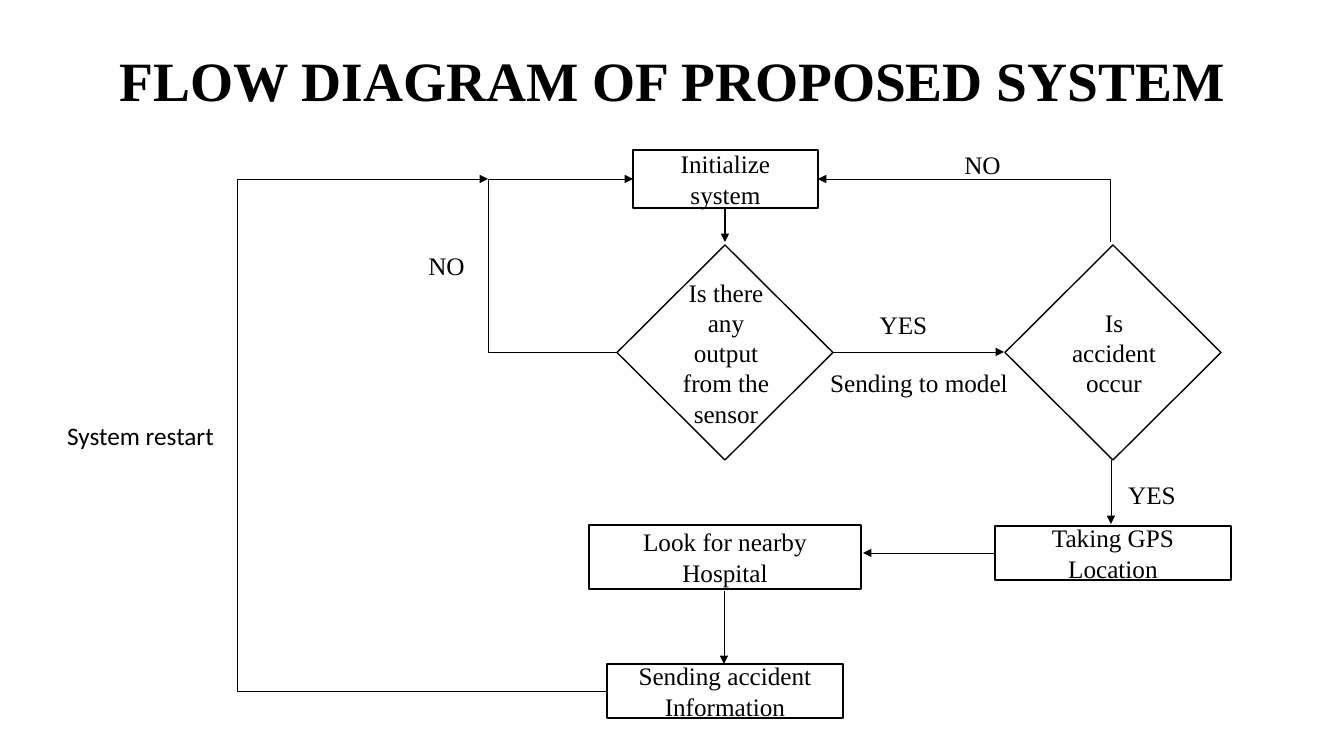
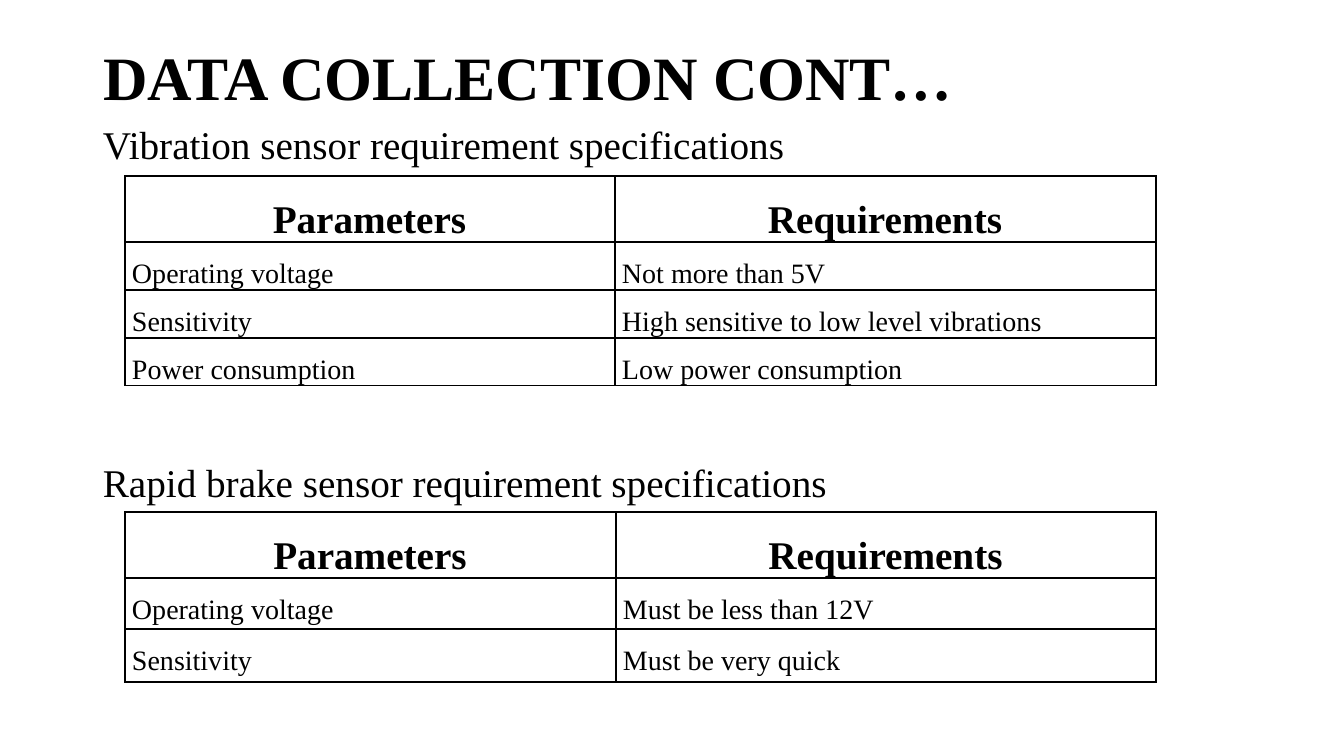
import lxml.etree
import pptx
import pptx.dml.color
import pptx.enum.dml
import pptx.enum.shapes
import pptx.enum.text
import pptx.oxml
import pptx.oxml.ns
import pptx.util

BLACK = pptx.dml.color.RGBColor(0, 0, 0)
WHITE = pptx.dml.color.RGBColor(255, 255, 255)
SERIF = "Times New Roman"
SANS = "Calibri"
WIDTH, HEIGHT = 1344, 756
SCALE = 12192000 / WIDTH
LEFT = pptx.enum.text.PP_ALIGN.LEFT
CENTER = pptx.enum.text.PP_ALIGN.CENTER
MIDDLE = pptx.enum.text.MSO_ANCHOR.MIDDLE
TOP = pptx.enum.text.MSO_ANCHOR.TOP
SHAPES = pptx.enum.shapes.MSO_SHAPE
CONNECTORS = pptx.enum.shapes.MSO_CONNECTOR
qn = pptx.oxml.ns.qn


def px(*lengths):
    return [pptx.util.Emu(round(length * SCALE)) for length in lengths]


def write(frame, text, size=18, font=SERIF, bold=False, align=CENTER, anchor=MIDDLE, spacing=1.0):
    frame.word_wrap = True
    frame.auto_size = pptx.enum.text.MSO_AUTO_SIZE.NONE
    frame.vertical_anchor = anchor
    paragraph = frame.paragraphs[0]
    paragraph.alignment = align
    paragraph.line_spacing = spacing
    run = paragraph.add_run()
    run.text = text
    run.font.size = pptx.util.Pt(size)
    run.font.name = font
    run.font.bold = bold
    run.font.color.rgb = BLACK


presentation = pptx.Presentation()
presentation.slide_width, presentation.slide_height = px(WIDTH, HEIGHT)

slides = []
for text, size, align, height in [
    ("FLOW DIAGRAM OF PROPOSED SYSTEM", 39.6, CENTER, 87),
    ("DATA COLLECTION CONT…", 44, LEFT, 81),
]:
    slide = presentation.slides.add_slide(presentation.slide_layouts[5])
    title = slide.shapes.title
    title.left, title.top, title.width, title.height = px(93, 40, 1159, height)
    write(title.text_frame, text, size=size, bold=True, align=align, spacing=0.9)
    slides.append(slide)
flow_slide, data_slide = slides

for kind, bounds, text in [
    (SHAPES.RECTANGLE, (633, 150, 185, 58), "Initialize system"),
    (SHAPES.DIAMOND, (617, 245, 216, 215), "Is there any output from the sensor"),
    (SHAPES.DIAMOND, (1005, 245, 216, 215), "Is accident occur"),
    (SHAPES.RECTANGLE, (995, 526, 236, 54), "Taking GPS Location"),
    (SHAPES.RECTANGLE, (589, 525, 272, 64), "Look for nearby Hospital"),
    (SHAPES.RECTANGLE, (607, 664, 236, 54), "Sending accident Information"),
]:
    step = flow_slide.shapes.add_shape(kind, *px(*bounds))
    step.shadow.inherit = False
    step.fill.solid()
    step.fill.fore_color.rgb = WHITE
    step.line.color.rgb = BLACK
    step.line.width = pptx.util.Pt(1)
    if kind == SHAPES.DIAMOND:
        step.text_frame.margin_left, step.text_frame.margin_right = px(3, 1)
    write(step.text_frame, text)

for points, weight, elbow, arrow in [
    ((725, 208, 725, 242), 0.8, False, "tailEnd"),
    ((833, 352, 1004, 352), 0.5, False, "tailEnd"),
    ((1111, 460, 1111, 524), 0.5, False, "tailEnd"),
    ((995, 553, 863, 553), 0.5, False, "tailEnd"),
    ((724, 591, 724, 664), 0.5, False, "tailEnd"),
    ((488, 179, 633, 179), 0.5, False, "tailEnd"),
    ((237, 179, 488, 179), 0.5, False, "tailEnd"),
    ((617, 352, 488, 179), 0.5, True, None),
    ((607, 691, 237, 179), 0.5, True, None),
    ((818, 179, 1110, 242), 0.5, True, "headEnd"),
]:
    kind = CONNECTORS.ELBOW if elbow else CONNECTORS.STRAIGHT
    connector = flow_slide.shapes.add_connector(kind, *px(*points))
    connector.line.color.rgb = BLACK
    connector.line.width = pptx.util.Pt(weight)
    properties = connector._element.spPr
    if elbow:
        properties.find(qn("a:prstGeom")).set("prst", "bentConnector2")
    if arrow:
        lxml.etree.SubElement(properties.find(qn("a:ln")), qn("a:" + arrow), type="triangle")
    lxml.etree.SubElement(properties, qn("a:effectLst"))

for bounds, text, font in [
    ((410, 247, 73, 37), "NO", SERIF),
    ((945, 150, 75, 28), "NO", SERIF),
    ((863, 298, 81, 52), "YES", SERIF),
    ((1118, 482, 68, 24), "YES", SERIF),
    ((801, 358, 236, 49), "Sending to model", SERIF),
    ((54, 401, 173, 68), "System restart", SANS),
]:
    label = flow_slide.shapes.add_textbox(*px(*bounds))
    write(label.text_frame, text, font=font)

HEADER = ("Parameters", "Requirements")
for heading, heading_top, table_top, columns, heights, rows in [
    ("Vibration sensor requirement specifications", 121, 176, (490, 541), (66, 48, 48, 47), [
        HEADER,
        ("Operating voltage", "Not more than 5V"),
        ("Sensitivity", "High sensitive to low level vibrations"),
        ("Power consumption", "Low power consumption"),
    ]),
    ("Rapid brake sensor requirement specifications", 459, 512, (491, 540), (66, 51, 53), [
        HEADER,
        ("Operating voltage", "Must be less than 12V"),
        ("Sensitivity", "Must be very quick"),
    ]),
]:
    caption = data_slide.shapes.add_textbox(*px(93, heading_top, 1159, 50))
    write(caption.text_frame, heading, size=28, align=LEFT, anchor=TOP, spacing=0.9)
    bounds = px(125, table_top, sum(columns), sum(heights))
    table = data_slide.shapes.add_table(len(rows), len(columns), *bounds).table
    for column, width in zip(table.columns, px(*columns)):
        column.width = width
    for row, height in zip(table.rows, px(*heights)):
        row.height = height
    for row_index, texts in enumerate(rows):
        header = row_index == 0
        for column_index, text in enumerate(texts):
            cell = table.cell(row_index, column_index)
            cell.margin_left, cell.margin_top, cell.margin_right, cell.margin_bottom = px(7, 1, 8, 0)
            write(cell.text_frame, text, size=28 if header else 20, bold=header,
                  align=CENTER if header else LEFT, anchor=TOP, spacing=1.5)
            properties = cell._tc.get_or_add_tcPr()
            for side in ("lnL", "lnR", "lnT", "lnB"):
                border = lxml.etree.SubElement(properties, qn("a:" + side), w="12700")
                fill = lxml.etree.SubElement(border, qn("a:solidFill"))
                lxml.etree.SubElement(fill, qn("a:srgbClr"), val=str(BLACK))
            cell.fill.background()

presentation.save("out.pptx")
